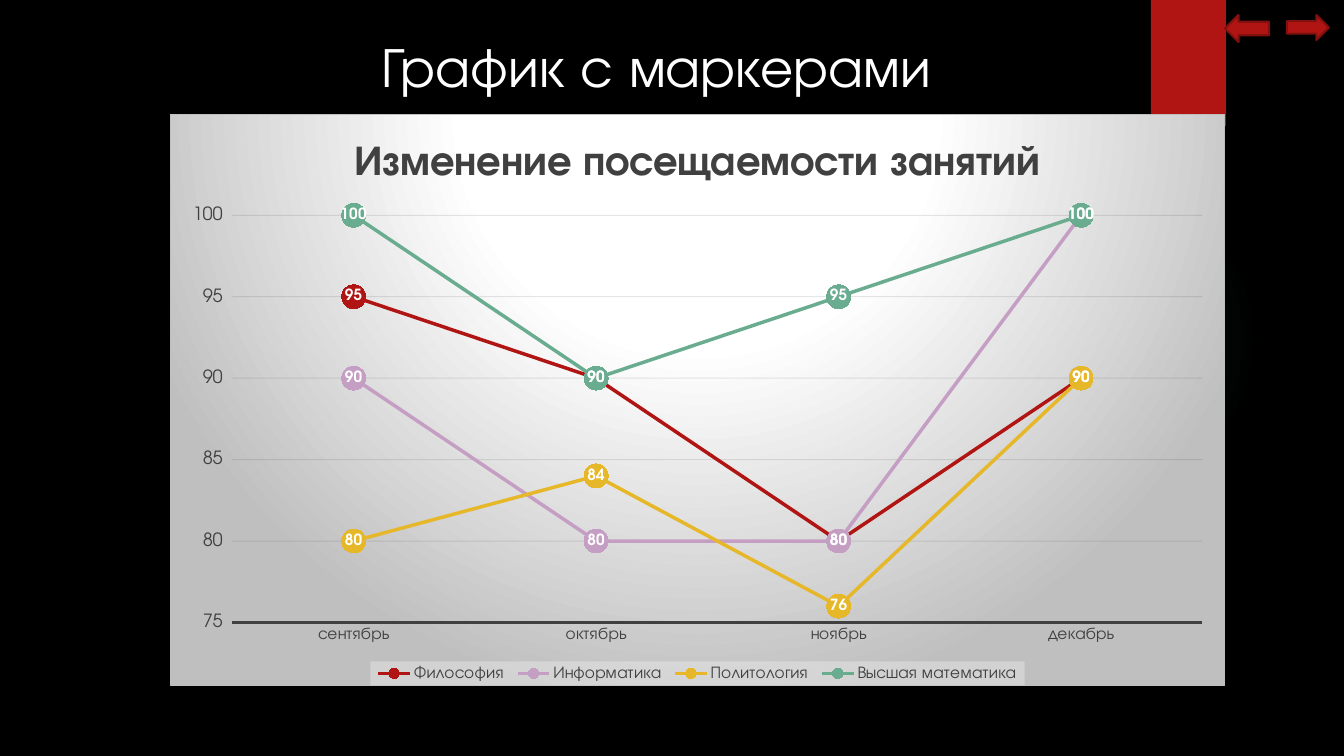
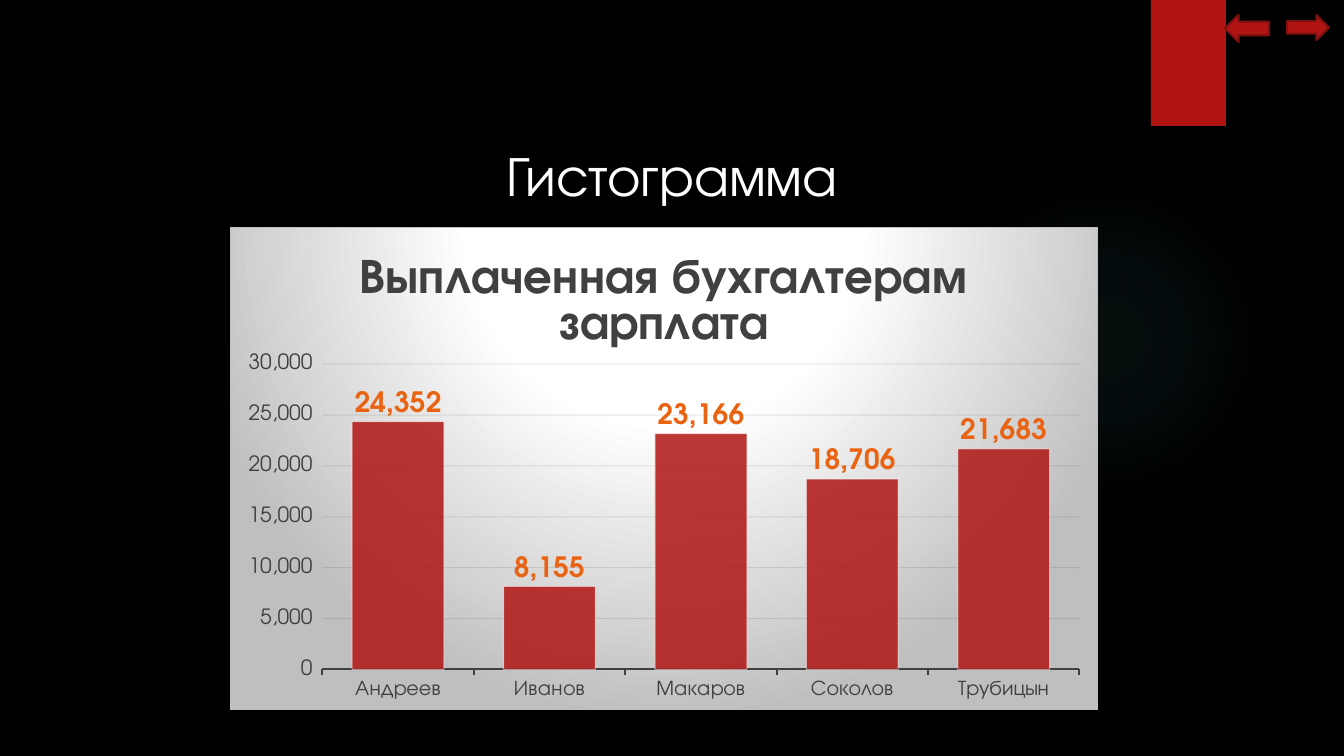
from lxml.etree import SubElement
from pptx import Presentation
from pptx.chart.data import CategoryChartData
from pptx.dml.color import RGBColor
from pptx.enum.chart import XL_CHART_TYPE as ChartType
from pptx.enum.chart import XL_LABEL_POSITION as LabelPosition
from pptx.enum.chart import XL_LEGEND_POSITION as LegendPosition
from pptx.enum.chart import XL_MARKER_STYLE as MarkerStyle
from pptx.enum.chart import XL_TICK_MARK as TickMark
from pptx.enum.shapes import MSO_SHAPE as Preset
from pptx.enum.text import PP_ALIGN as Align
from pptx.oxml import parse_xml
from pptx.oxml.ns import nsdecls, qn
from pptx.util import Pt

PX = 914400 / 100.8
FONT = "TeX Gyre Adventor"
BLACK = RGBColor(0x00, 0x00, 0x00)
WHITE = RGBColor(0xFF, 0xFF, 0xFF)
RED = RGBColor(0xB0, 0x15, 0x13)
DARK_RED = RGBColor(0x82, 0x10, 0x0E)
TEAL = RGBColor(0x50, 0xB9, 0xC1)
MAUVE = RGBColor(0xC5, 0x9E, 0xC3)
YELLOW = RGBColor(0xE6, 0xB7, 0x29)
GREEN = RGBColor(0x6A, 0xAC, 0x90)
ORANGE = RGBColor(0xEA, 0x63, 0x12)
DARK_GREY = RGBColor(0x40, 0x40, 0x40)
SILVER = RGBColor(0xBF, 0xBF, 0xBF)
PALE_GREY = RGBColor(0xF2, 0xF2, 0xF2)
GRID = RGBColor(0x0D, 0x0D, 0x0D)


def radial_fill(stops, top, bottom):
    """Return a circular gradient; stops are (position, colour, opacity) in percent."""
    marks = "".join(
        f'<a:gs pos="{place * 1000}"><a:srgbClr val="{color}">'
        f'<a:alpha val="{opacity * 1000}"/></a:srgbClr></a:gs>'
        for place, color, opacity in stops
    )
    return parse_xml(
        f'<a:gradFill {nsdecls("a")} rotWithShape="1"><a:gsLst>{marks}</a:gsLst>'
        f'<a:path path="circle"><a:fillToRect l="50000" t="{top * 1000}" '
        f'r="50000" b="{bottom * 1000}"/></a:path></a:gradFill>'
    )


def fade(element, opacity):
    """Give every colour inside the element an opacity in percent."""
    for color in element.iter(qn("a:srgbClr")):
        SubElement(color, qn("a:alpha"), val=str(opacity * 1000))


# Boxes are left, top, width, height; plot and legend boxes are slide positions too.
PAGES = [
    dict(
        title="График с маркерами", title_box=(372, 27, 670, 78), align=Align.LEFT,
        kind=ChartType.LINE_MARKERS, chart_box=(170, 114, 1055, 572),
        plot_box=(232, 215, 971, 408), legend_box=(370, 662, 655, 24),
        heading="Изменение посещаемости занятий", heading_size=30,
        categories=["сентябрь", "октябрь", "ноябрь", "декабрь"],
        series=[
            ("Философия", (95, 90, 80, 90), RED),
            ("Информатика", (90, 80, 80, 100), MAUVE),
            ("Политология", (80, 84, 76, 90), YELLOW),
            ("Высшая математика", (100, 90, 95, 100), GREEN),
        ],
        scale=(75, 100, 5), number_format="General", axis_sizes=(12, 13),
        ticks=TickMark.NONE, labels=(LabelPosition.CENTER, 11, WHITE),
    ),
    dict(
        title="Гистограмма", title_box=(0, 136, 1344, 78), align=Align.CENTER,
        kind=ChartType.COLUMN_CLUSTERED, chart_box=(230, 227, 868, 483),
        plot_box=(322, 364, 758, 306), legend_box=None,
        heading="Выплаченная бухгалтерам зарплата", heading_size=35,
        categories=["Андреев", "Иванов", "Макаров", "Соколов", "Трубицын"],
        series=[("Зарплата", (24352, 8155, 23166, 18706, 21683), RED)],
        scale=(0, 30000, 5000), number_format="#,##0", axis_sizes=(15, 15),
        ticks=TickMark.OUTSIDE, labels=(LabelPosition.OUTSIDE_END, 20, ORANGE),
    ),
]
# preset, box, rotation, fill, outline
DECORATIONS = [
    (Preset.OVAL, (949, 184, 310, 310), 0, None, None),
    (Preset.RECTANGLE, (1151, 0, 75, 126), 0, RED, None),
    (Preset.RIGHT_ARROW, (1287, 15, 42, 25), 0, RED, DARK_RED),
    (Preset.RIGHT_ARROW, (1225, 15, 44, 27), 180, RED, DARK_RED),
]

deck = Presentation()
deck.slide_width, deck.slide_height = round(1344 * PX), round(756 * PX)
backdrop = deck.slide_master.background.fill
backdrop.solid()
backdrop.fore_color.rgb = BLACK

for content in PAGES:
    page = deck.slides.add_slide(deck.slide_layouts[6])

    for preset, place, rotation, color, outline in DECORATIONS:
        shape = page.shapes.add_shape(preset, *(round(v * PX) for v in place))
        shape.shadow.inherit = False
        shape.rotation = rotation
        if color is None:
            glow = radial_fill([(0, TEAL, 7), (36, TEAL, 6), (69, TEAL, 0)], 50, 50)
            shape._element.spPr.find(qn("a:prstGeom")).addnext(glow)
        else:
            shape.fill.solid()
            shape.fill.fore_color.rgb = color
        if outline is None:
            shape.line.fill.background()
        else:
            shape.line.color.rgb = outline
            shape.line.width = Pt(1.5)

    box = page.shapes.add_textbox(*(round(v * PX) for v in content["title_box"]))
    box.text_frame.word_wrap = True
    box.text_frame.text = content["title"]
    para = box.text_frame.paragraphs[0]
    para.alignment = content["align"]
    span = para.runs[0]
    span.font.size, span.font.name = Pt(40), FONT
    span.font.color.rgb = WHITE

    data = CategoryChartData(number_format=content["number_format"])
    data.categories = content["categories"]
    for name, values, _ in content["series"]:
        data.add_series(name, values)
    frame = page.shapes.add_chart(
        content["kind"], *(round(v * PX) for v in content["chart_box"]), data
    )
    chart = frame.chart
    chart.font.name, chart.font.size = FONT, Pt(10)
    panel = parse_xml(
        f'<c:spPr {nsdecls("c", "a")}><a:ln w="9525"><a:solidFill>'
        f'<a:srgbClr val="{SILVER}"/></a:solidFill></a:ln></c:spPr>'
    )
    stops = [(0, WHITE, 100), (39, WHITE, 100), (100, SILVER, 100)]
    panel.insert(0, radial_fill(stops, -80, 180))
    chart._chartSpace.find(qn("c:txPr")).addprevious(panel)

    chart.has_title = True
    chart.chart_title.include_in_layout = False
    chart.chart_title.text_frame.text = content["heading"]
    heading = chart.chart_title.text_frame.paragraphs[0].runs[0].font
    heading.name, heading.size, heading.bold = FONT, Pt(content["heading_size"]), True
    heading.color.rgb = DARK_GREY

    category_axis, value_axis = chart.category_axis, chart.value_axis
    for axis, size in zip((category_axis, value_axis), content["axis_sizes"]):
        font = axis.tick_labels.font
        font.name, font.size = FONT, Pt(size)
        font.color.rgb = DARK_GREY
    category_axis.major_tick_mark = content["ticks"]
    category_axis.format.line.color.rgb = DARK_GREY
    category_axis.format.line.width = Pt(1.5)
    low, high, step = content["scale"]
    value_axis.minimum_scale, value_axis.maximum_scale = low, high
    value_axis.major_unit = step
    value_axis.tick_labels.number_format = content["number_format"]
    value_axis.tick_labels.number_format_is_linked = False
    value_axis.format.line.fill.background()
    gridline = value_axis.major_gridlines.format.line
    gridline.color.rgb = GRID
    gridline.width = Pt(0.75)
    fade(value_axis._element.find(qn("c:majorGridlines")), 10)

    plot = chart.plots[0]
    plot.vary_by_categories = False
    plot.has_data_labels = True
    labels = plot.data_labels
    position, size, color = content["labels"]
    labels.show_value = True
    labels.position = position
    labels.number_format = content["number_format"]
    labels.number_format_is_linked = False
    labels.font.name, labels.font.size, labels.font.bold = FONT, Pt(size), True
    labels.font.color.rgb = color

    for series, (_, _, color) in zip(plot.series, content["series"]):
        line = series.format.line
        if content["kind"] == ChartType.LINE_MARKERS:
            series.smooth = False
            line.color.rgb, line.width = color, Pt(2.5)
            marker = series.marker
            marker.style, marker.size = MarkerStyle.CIRCLE, 17
            marker.format.fill.solid()
            marker.format.fill.fore_color.rgb = color
            marker.format.line.fill.background()
        else:
            plot.gap_width = 65
            series.invert_if_negative = False
            series.format.fill.solid()
            series.format.fill.fore_color.rgb = color
            line.color.rgb, line.width = WHITE, Pt(0.75)
            properties = series._element.find(qn("c:spPr"))
            fade(properties.find(qn("a:solidFill")), 85)
            fade(properties.find(qn("a:ln")), 50)

    placed_parts = [(chart._chartSpace.chart.plotArea, 0, content["plot_box"])]
    chart.has_legend = content["legend_box"] is not None
    if chart.has_legend:
        legend = chart.legend
        legend.position = LegendPosition.BOTTOM
        legend.include_in_layout = False
        legend.font.name, legend.font.size = FONT, Pt(12)
        legend.font.color.rgb = DARK_GREY
        plate = parse_xml(
            f'<c:spPr {nsdecls("c", "a")}><a:solidFill>'
            f'<a:srgbClr val="{PALE_GREY}"/></a:solidFill></c:spPr>'
        )
        fade(plate, 39)
        legend._element.find(qn("c:txPr")).addprevious(plate)
        placed_parts.append((legend._element, 1, content["legend_box"]))

    chart_left, chart_top, chart_width, chart_height = content["chart_box"]
    for part, index, (left, top, width, height) in placed_parts:
        for old_layout in part.findall(qn("c:layout")):
            part.remove(old_layout)
        target = '<c:layoutTarget val="inner"/>' if index == 0 else ""
        part.insert(index, parse_xml(
            f'<c:layout {nsdecls("c")}><c:manualLayout>{target}'
            f'<c:xMode val="edge"/><c:yMode val="edge"/>'
            f'<c:x val="{(left - chart_left) / chart_width}"/>'
            f'<c:y val="{(top - chart_top) / chart_height}"/>'
            f'<c:w val="{width / chart_width}"/><c:h val="{height / chart_height}"/>'
            f'</c:manualLayout></c:layout>'
        ))

deck.save("out.pptx")
